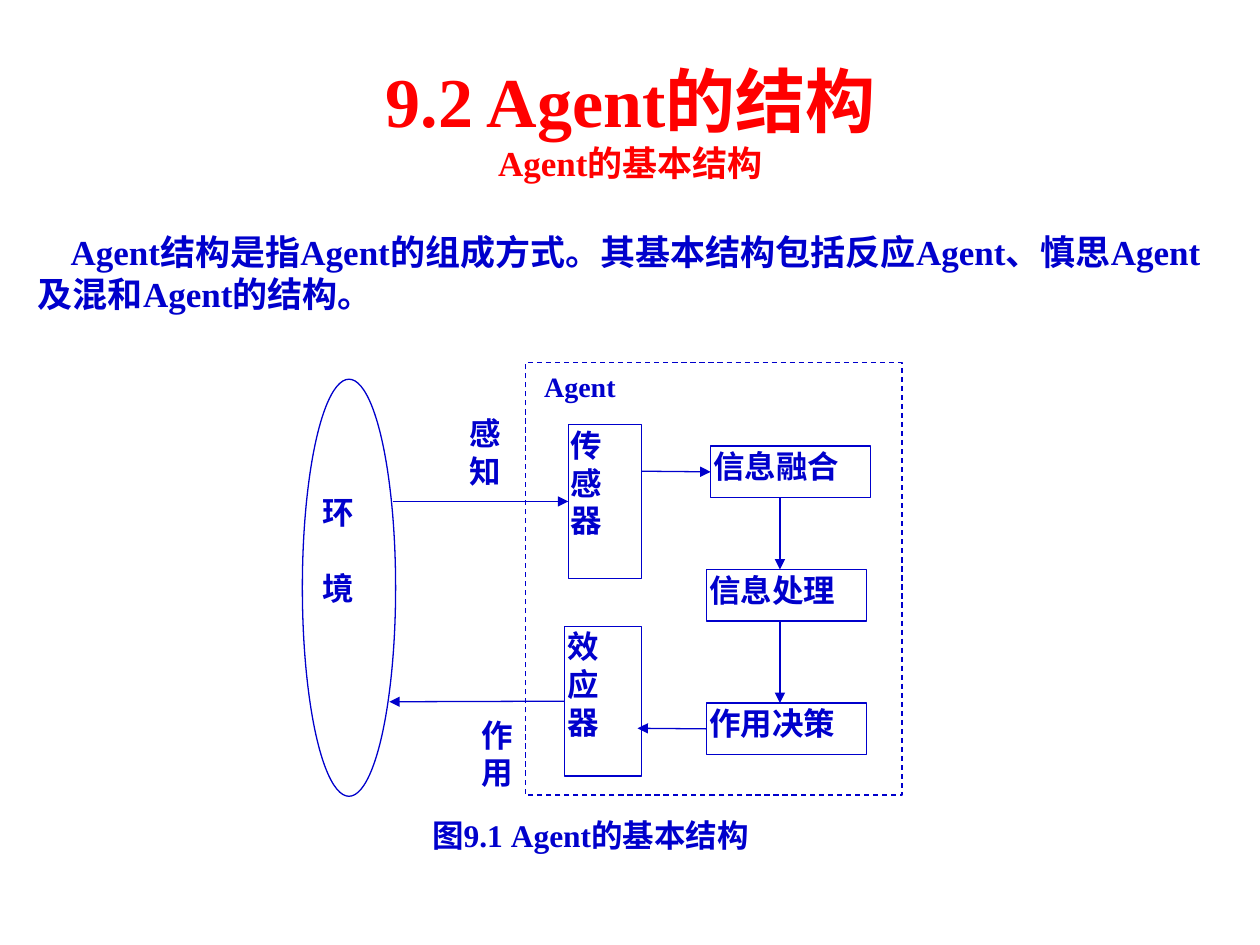
from pptx import Presentation
from pptx.dml.color import RGBColor
from pptx.enum.dml import MSO_LINE
from pptx.enum.shapes import MSO_CONNECTOR, MSO_SHAPE
from pptx.enum.text import MSO_ANCHOR, MSO_AUTO_SIZE, PP_ALIGN
from pptx.oxml.ns import qn
from pptx.util import Inches, Pt
from lxml import etree

RECT, OVAL = MSO_SHAPE.RECTANGLE, MSO_SHAPE.OVAL
STRAIGHT, DASH = MSO_CONNECTOR.STRAIGHT, MSO_LINE.DASH
TOP, NO_FIT = MSO_ANCHOR.TOP, MSO_AUTO_SIZE.NONE
CENTER, LEFT, JUSTIFY = PP_ALIGN.CENTER, PP_ALIGN.LEFT, PP_ALIGN.JUSTIFY
BLUE, RED, WHITE = "0000CC", "FF0000", "FFFFFF"


def rgb(value):
    return RGBColor.from_string(value)


def set_text(sp, text, sizes, color, align, left=0.1, top=0.05, gap=0):
    tf = sp.text_frame
    tf.text = text
    tf.word_wrap = True
    tf.auto_size = NO_FIT
    tf.vertical_anchor = TOP
    tf.margin_left = Inches(left)
    tf.margin_right = Inches(min(left, 0.1))
    tf.margin_top = tf.margin_bottom = Inches(top)
    for i, p in enumerate(tf.paragraphs):
        p.alignment = align
        p.line_spacing = 1.0
        p.space_before = Pt(gap if i else 0)
        for r in p.runs:
            r.font.name = "Times New Roman"
            r.font.size = Pt(sizes[min(i, len(sizes) - 1)])
            r.font.bold = True
            r.font.color.rgb = rgb(color)


prs = Presentation()
prs.slide_width, prs.slide_height = Inches(10), Inches(7.5)
s = prs.slides.add_slide(prs.slide_layouts[1])

title, body = s.shapes.title, s.placeholders[1]
title.left, title.top, title.width, title.height = map(Inches, (1.7, 0.41, 6.61, 1.1))
set_text(title, "9.2 Agent的结构\nAgent的基本结构", [40, 20], RED, CENTER)

body.left, body.top, body.width, body.height = map(Inches, (0.2, 1.78, 9.61, 0.77))
set_text(body, "Agent结构是指Agent的组成方式。其基本结构包括反应Agent、慎思Agent及混和Agent的结构。",
         [20], BLUE, LEFT)
pPr = body.text_frame.paragraphs[0]._p.get_or_add_pPr()
pPr.set("marL", "0")
pPr.set("indent", str(Inches(0.26)))
etree.SubElement(pPr, qn("a:buNone"))

outlines = [(OVAL, (2.4, 3.01, 0.74, 3.31)), (RECT, (4.17, 2.88, 2.99, 3.43))]
boxes = {
    "信息融合": (5.64, 3.54, 1.27, 0.41),
    "信息处理": (5.61, 4.52, 1.27, 0.41),
    "作用决策": (5.61, 5.58, 1.27, 0.41),
    "传\n感\n器": (4.51, 3.37, 0.58, 1.22),
    "效\n应\n器": (4.48, 4.97, 0.61, 1.19),
}
shapes = []
for kind, place in outlines + [(RECT, place) for place in boxes.values()]:
    sp = s.shapes.add_shape(kind, *map(Inches, place))
    sp.shadow.inherit = False
    sp.fill.solid()
    sp.fill.fore_color.rgb = rgb(WHITE)
    sp.line.color.rgb = rgb(BLUE)
    sp.line.width = Pt(0.75)
    shapes.append(sp)
environment, agent, fusion, processing, decision, sensor, effector = shapes
agent.line.dash_style = DASH
for sp, text in zip(shapes[2:], boxes):
    set_text(sp, text, [18], BLUE, JUSTIFY, 0.02, 0.01)

labels = [
    ("环\n境", (2.5, 3.9, 0.44, 1.31), 18, 0.06, 22),
    ("Agent", (4.26, 2.92, 0.97, 0.41), 16, 0.06, 0),
    ("感知", (3.17, 3.28, 0.8, 0.63), 18, 0.56, 0),
    ("作用", (3.26, 5.67, 0.8, 0.63), 18, 0.56, 0),
    ("图9.1 Agent的基本结构", (3.41, 6.47, 3.07, 0.31), 18, 0.02, 0),
]
for text, place, size, left, gap in labels:
    sp = s.shapes.add_textbox(*map(Inches, place))
    set_text(sp, text, [size], BLUE, JUSTIFY, left, 0.01, gap)

arrows = [
    ((3.12, 3.98, 4.51, 3.98), None, sensor),
    ((4.48, 5.57, 3.09, 5.57), effector, None),
    ((5.09, 3.74, 5.64, 3.74), None, fusion),
    ((6.19, 3.95, 6.19, 4.52), None, None),
    ((6.19, 4.93, 6.19, 5.58), None, None),
    ((5.61, 5.78, 5.06, 5.78), decision, None),
]
for ends, start, end in arrows:
    line = s.shapes.add_connector(STRAIGHT, *map(Inches, ends))
    if start:
        line.begin_connect(start, 1)
    if end:
        line.end_connect(end, 1)
    line.line.color.rgb = rgb(BLUE)
    line.line.width = Pt(0.75)
    etree.SubElement(line.line._get_or_add_ln(), qn("a:tailEnd"), type="triangle")
    etree.SubElement(line._element.spPr, qn("a:effectLst"))

prs.save("out.pptx")
